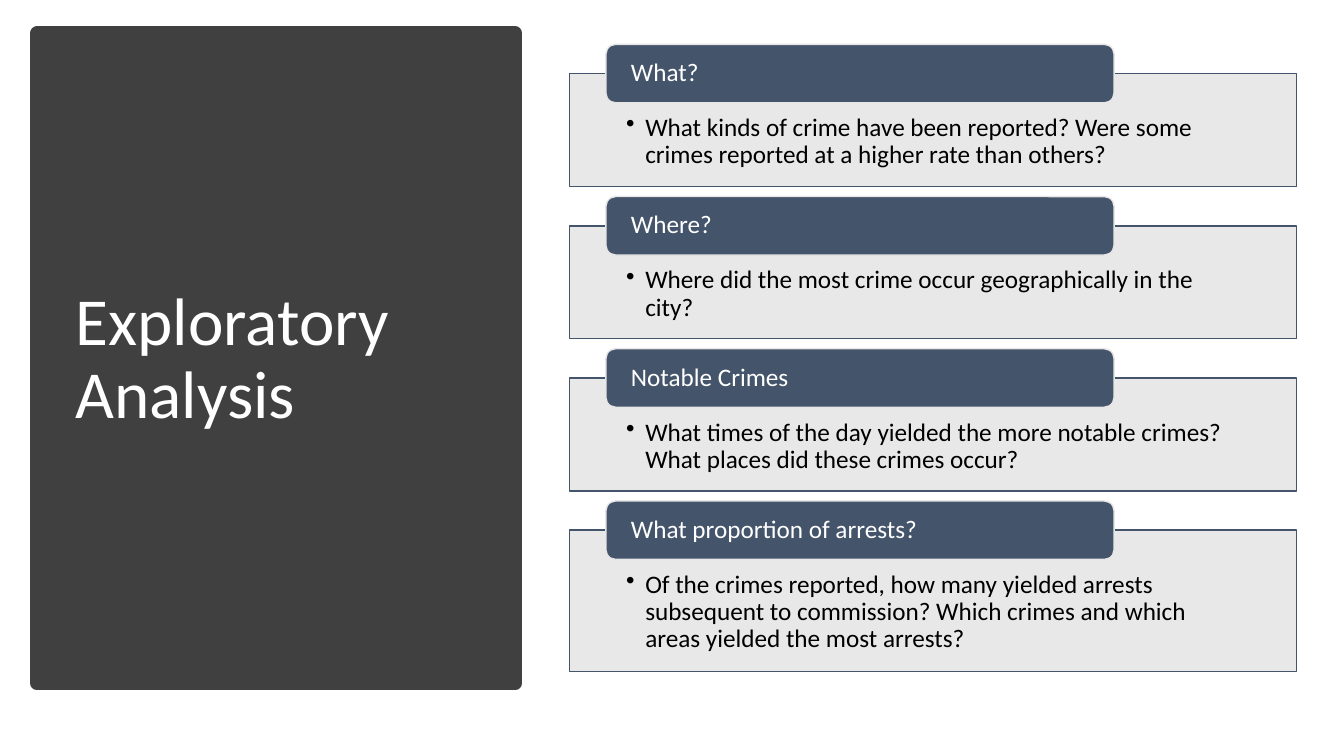
import dataclasses

import lxml.etree
import pptx
import pptx.dml.color
import pptx.enum.shapes
import pptx.enum.text
import pptx.oxml.ns
import pptx.shapes.autoshape
import pptx.slide
import pptx.text.text
import pptx.util

Inches = pptx.util.Inches
RGBColor = pptx.dml.color.RGBColor
ShapeKind = pptx.enum.shapes.MSO_SHAPE
Anchor = pptx.enum.text.MSO_ANCHOR

CHARCOAL = RGBColor(0x40, 0x40, 0x40)
SLATE = RGBColor(0x44, 0x54, 0x6A)
LIGHT_GRAY = RGBColor(0xE7, 0xE6, 0xE6)
WHITE = RGBColor(0xFF, 0xFF, 0xFF)
BLACK = RGBColor(0x00, 0x00, 0x00)
FONT_NAME = "Calibri"

CARD_LEFT = 5.65
CARD_WIDTH = 7.21
FIRST_CARD_TOP = 0.73
CARD_GAP = 0.39
TAB_LEFT = 6.01
TAB_WIDTH = 5.04
TAB_HEIGHT = 0.58


@dataclasses.dataclass(frozen=True)
class Question:
    heading: str
    detail: str
    card_height: float = 1.12


QUESTIONS = [
    Question("What?", "What kinds of crime have been reported? Were some crimes reported at a higher rate than others?"),
    Question("Where?", "Where did the most crime occur geographically in the city?"),
    Question(
        "Notable Crimes",
        "What times of the day yielded the more notable crimes? What places did these crimes occur?",
    ),
    Question(
        "What proportion of arrests?",
        "Of the crimes reported, how many yielded arrests subsequent to commission? "
        "Which crimes and which areas yielded the most arrests?",
        1.4,
    ),
]


def add_box(
    slide: pptx.slide.Slide,
    kind: ShapeKind,
    left: float,
    top: float,
    width: float,
    height: float,
    fill: RGBColor,
    line: RGBColor,
    line_width: float = 1,
) -> pptx.shapes.autoshape.Shape:
    shape = slide.shapes.add_shape(kind, Inches(left), Inches(top), Inches(width), Inches(height))
    shape.shadow.inherit = False
    shape.fill.solid()
    shape.fill.fore_color.rgb = fill
    shape.line.color.rgb = line
    shape.line.width = pptx.util.Pt(line_width)
    return shape


def write_text(
    frame: pptx.text.text.TextFrame, text: str, size: float, color: RGBColor, anchor: Anchor
) -> pptx.text.text._Paragraph:
    frame.word_wrap = True
    frame.auto_size = pptx.enum.text.MSO_AUTO_SIZE.NONE
    frame.vertical_anchor = anchor
    frame.text = text
    paragraph = frame.paragraphs[0]
    paragraph.alignment = pptx.enum.text.PP_ALIGN.LEFT
    paragraph.line_spacing = 0.9
    paragraph.font.name = FONT_NAME
    paragraph.font.size = pptx.util.Pt(size)
    paragraph.font.color.rgb = color
    return paragraph


def set_margins(frame: pptx.text.text.TextFrame, side: float, top: float, bottom: float) -> None:
    frame.margin_left = frame.margin_right = Inches(side)
    frame.margin_top = Inches(top)
    frame.margin_bottom = Inches(bottom)


def add_bullet(paragraph: pptx.text.text._Paragraph, indent: float) -> None:
    properties = paragraph._p.get_or_add_pPr()
    properties.set("marL", str(Inches(indent)))
    properties.set("indent", str(-Inches(indent)))
    bullet = lxml.etree.Element(pptx.oxml.ns.qn("a:buChar"), char="•")
    properties.find(pptx.oxml.ns.qn("a:defRPr")).addprevious(bullet)


def make_translucent(shape: pptx.shapes.autoshape.Shape, percent: int) -> None:
    color = shape.fill._xPr.find(".//" + pptx.oxml.ns.qn("a:srgbClr"))
    lxml.etree.SubElement(color, pptx.oxml.ns.qn("a:alpha"), val=str(percent * 1000))


def add_question(slide: pptx.slide.Slide, question: Question, top: float) -> None:
    card = add_box(
        slide, ShapeKind.RECTANGLE, CARD_LEFT, top, CARD_WIDTH, question.card_height, LIGHT_GRAY, SLATE
    )
    make_translucent(card, 90)
    set_margins(card.text_frame, 0.56, 0.41, 0.14)
    add_bullet(write_text(card.text_frame, question.detail, 18, BLACK, Anchor.TOP), 0.19)

    tab = add_box(
        slide, ShapeKind.ROUNDED_RECTANGLE, TAB_LEFT, top - TAB_HEIGHT / 2, TAB_WIDTH, TAB_HEIGHT, SLATE, LIGHT_GRAY
    )
    set_margins(tab.text_frame, 0.22, 0, 0)
    write_text(tab.text_frame, question.heading, 18, WHITE, Anchor.MIDDLE)


def add_title(slide: pptx.slide.Slide, text: str) -> None:
    panel = add_box(slide, ShapeKind.RECTANGLE, 0.37, 0.33, 4.74, 6.45, CHARCOAL, CHARCOAL, 10)
    title = slide.shapes.title
    panel.element.addnext(title.element)
    title.left, title.top = Inches(0.65), Inches(0.7)
    title.width, title.height = Inches(4.16), Inches(5.75)
    write_text(title.text_frame, text, 48, WHITE, Anchor.MIDDLE)


presentation = pptx.Presentation()
presentation.slide_width = Inches(13.33)
presentation.slide_height = Inches(7.5)
slide = presentation.slides.add_slide(presentation.slide_layouts[5])

add_title(slide, "Exploratory Analysis")
card_top = FIRST_CARD_TOP
for question in QUESTIONS:
    add_question(slide, question, card_top)
    card_top += question.card_height + CARD_GAP

presentation.save("out.pptx")
